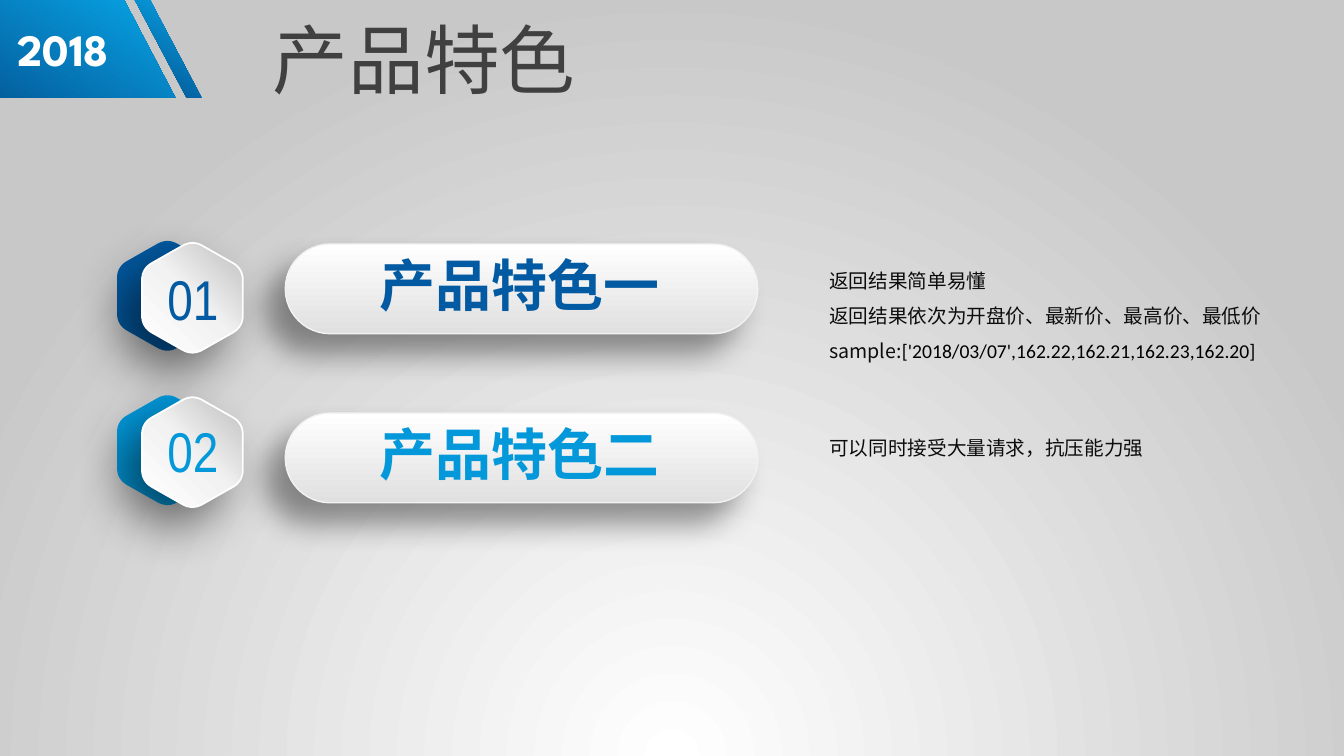
from lxml import etree
from pptx import Presentation
from pptx import util as u
from pptx.dml.color import RGBColor
from pptx.enum import shapes, text
from pptx.oxml import ns

WHITE = RGBColor(0xFF, 0xFF, 0xFF)
PALE = RGBColor(0xF2, 0xF2, 0xF2)
MIST = RGBColor(0xE0, 0xE0, 0xE0)
SILVER = RGBColor(0xBF, 0xBF, 0xBF)
BACKDROP = RGBColor(0xC8, 0xC8, 0xC8)
GREY = RGBColor(0x40, 0x40, 0x40)
INK = RGBColor(0x0D, 0x0D, 0x0D)
BLACK = RGBColor(0, 0, 0)
NAVY = RGBColor(0x02, 0x5A, 0xA2)
SKY = RGBColor(0x02, 0x98, 0xDA)
DEEP = RGBColor(0x05, 0x50, 0x8F)
BRIGHT = RGBColor(0x06, 0xA4, 0xE5)
CJK = "Noto Sans CJK SC"


def add_gradient(parent, index, stops, direction):
    """Insert a gradient fill; stops are (percent, colour) pairs."""
    marks = "".join(f'<a:gs pos="{percent * 1000}"><a:srgbClr val="{colour}"/></a:gs>'
                    for percent, colour in stops)
    parent.insert(index, etree.fromstring(
        f'<a:gradFill {ns.nsdecls("a")} rotWithShape="1"><a:gsLst>{marks}</a:gsLst>{direction}</a:gradFill>'))


def add_text(place, lines, wrap=False, align=None, spacing=None):
    """Add a text box; each line is a list of (words, format) spans."""
    box = page.shapes.add_textbox(*map(u.Cm, place))
    frame = box.text_frame
    frame.word_wrap = wrap
    frame.auto_size = text.MSO_AUTO_SIZE.SHAPE_TO_FIT_TEXT
    for number, line in enumerate(lines):
        para = frame.add_paragraph() if number else frame.paragraphs[0]
        para.alignment = align
        para.line_spacing = spacing
        for words, style in line:
            span = para.add_run()
            span.text = words
            for key, value in style.items():
                if key == "color":
                    span.font.color.rgb = value
                else:
                    setattr(span.font, key, value)
            east = etree.SubElement(span.font._element, ns.qn("a:ea"))
            east.set("typeface", style["name"])


deck = Presentation()
deck.slide_width, deck.slide_height = u.Cm(33.87), u.Cm(19.05)
page = deck.slides.add_slide(deck.slide_layouts[6])

# Background glow rising from the bottom edge
page.background.fill.solid()
backdrop = page._element.cSld.bg.bgPr
backdrop.remove(backdrop[0])
add_gradient(backdrop, 0, [(0, WHITE), (100, BACKDROP)],
             '<a:path path="circle"><a:fillToRect l="50000" t="130000" r="50000" b="-30000"/></a:path>')

# Header banner and stripe
banner = page.shapes.add_shape(shapes.MSO_SHAPE.PARALLELOGRAM,
                               u.Cm(-1.98), u.Cm(0), u.Cm(6.4), u.Cm(2.46))
banner.adjustments[0] = 0.525
banner._element.spPr.xfrm.set("flipV", "1")
outline = page.shapes.build_freeform(u.Cm(3.4), u.Cm(0))
outline.add_line_segments([(u.Cm(x), u.Cm(y)) for x, y in [(3.78, 0), (5.08, 2.46), (4.7, 2.46)]])
stripe = outline.convert_to_shape()
for part, angle in ((banner, 60), (stripe, 300)):
    add_gradient(part._element.spPr, 2, [(0, DEEP), (98, BRIGHT)],
                 f'<a:lin ang="{angle * 60000}" scaled="0"/>')
    part.line.fill.background()
    part.shadow.inherit = False

add_text((0.18, 0.43, 3.23, 1.63),
         [[("2018", dict(name="League Spartan", size=u.Pt(32), bold=True, color=WHITE))]])
add_text((6.63, 0.2, 8.2, 2.57), [[("产品特色", dict(name=CJK, size=u.Pt(54), color=GREY))]])

# Rounded hexagon: each corner is a quadratic curve between its two edges
corners = [(1.27, -0.07), (2.54, 0.65), (2.54, 2.12), (1.27, 2.84), (0, 2.12), (0, 0.65)]
reach = 0.2
hexagon = []
for i, corner in enumerate(corners):
    before, after = corners[i - 1], corners[(i + 1) % 6]
    start, end = ([c + (n - c) * reach for c, n in zip(corner, near)] for near in (before, after))
    for t in (step / 8 for step in range(9)):
        hexagon.append([(1 - t) ** 2 * s + 2 * t * (1 - t) * c + t * t * e
                        for s, c, e in zip(start, corner, end)])

# Feature rows: number badge, pill and description
note = dict(name=CJK, size=u.Pt(14), color=INK)
sample = dict(name="Calibri", size=u.Pt(14), color=BLACK)
rows = [
    ("01", "产品特色一", NAVY, 6.07, 6.15, 6.55, 6.35, 2.95,
     [[("返回结果简单易懂", note)],
      [("返回结果依次为开盘价、最新价、最高价、最低价", note)],
      [("sample:", note), ("['2018/03/07',162.22,162.21,162.23,162.20]", sample)]]),
    ("02", "产品特色二", SKY, 9.96, 10.41, 10.36, 10.57, 1.04,
     [[("可以同时接受大量请求，抗压能力强", note)]]),
]
for number, title, colour, badge_top, pill_top, number_top, note_top, note_height, notes in rows:
    badges = []
    for left, top in ((2.95, badge_top), (3.58, badge_top + 0.05)):
        points = [(u.Cm(left + x), u.Cm(top + y)) for x, y in hexagon]
        outline = page.shapes.build_freeform(*points[0])
        outline.add_line_segments(points[1:])
        badges.append(outline.convert_to_shape())
    back, front = badges
    back.fill.solid()
    back.fill.fore_color.rgb = colour
    back.line.fill.background()
    back.shadow.inherit = False

    pill = page.shapes.add_shape(shapes.MSO_SHAPE.ROUNDED_RECTANGLE,
                                 u.Cm(7.19), u.Cm(pill_top), u.Cm(11.91), u.Cm(2.26))
    pill.adjustments[0] = 0.5

    raised = [
        (front, [(0, WHITE), (50, PALE), (100, SILVER)], 315, WHITE, 1.25, 50, 35),
        (pill, [(0, WHITE), (100, MIST)], 90, PALE, 1, 40, 22),
    ]
    for part, stops, angle, edge, width, opacity, blur in raised:
        add_gradient(part._element.spPr, 2, stops, f'<a:lin ang="{angle * 60000}" scaled="0"/>')
        part.line.color.rgb = edge
        part.line.width = u.Pt(width)
        part.shadow.inherit = False
        part._element.spPr.find(ns.qn("a:effectLst")).append(etree.fromstring(
            f'<a:outerShdw {ns.nsdecls("a")} blurRad="{u.Pt(blur)}" dist="{u.Pt(20)}" dir="8100000" '
            f'algn="tr" rotWithShape="0"><a:srgbClr val="{BLACK}"><a:alpha val="{opacity * 1000}"/>'
            '</a:srgbClr></a:outerShdw>'))

    add_text((9.32, pill_top + 0.04, 7.67, 1.96),
             [[(title, dict(name=CJK, size=u.Pt(40), bold=True, color=colour))]])
    add_text((3.43, number_top, 2.87, 1.96),
             [[(number, dict(name="Arial Narrow", size=u.Pt(40), color=colour))]],
             wrap=True, align=text.PP_ALIGN.CENTER)
    add_text((20.65, note_top, 11.73, note_height), notes, wrap=True, spacing=1.5)

deck.save("out.pptx")
